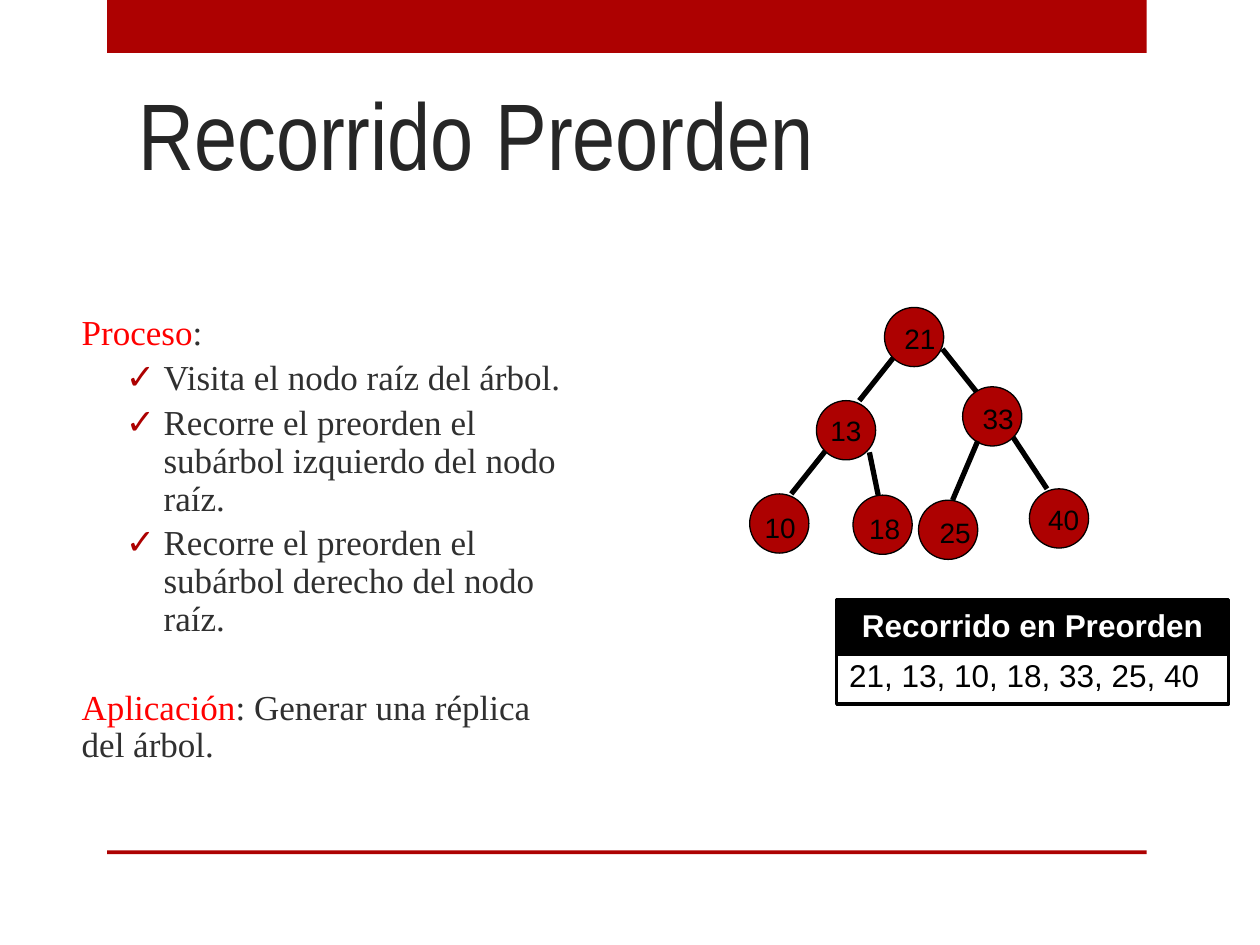
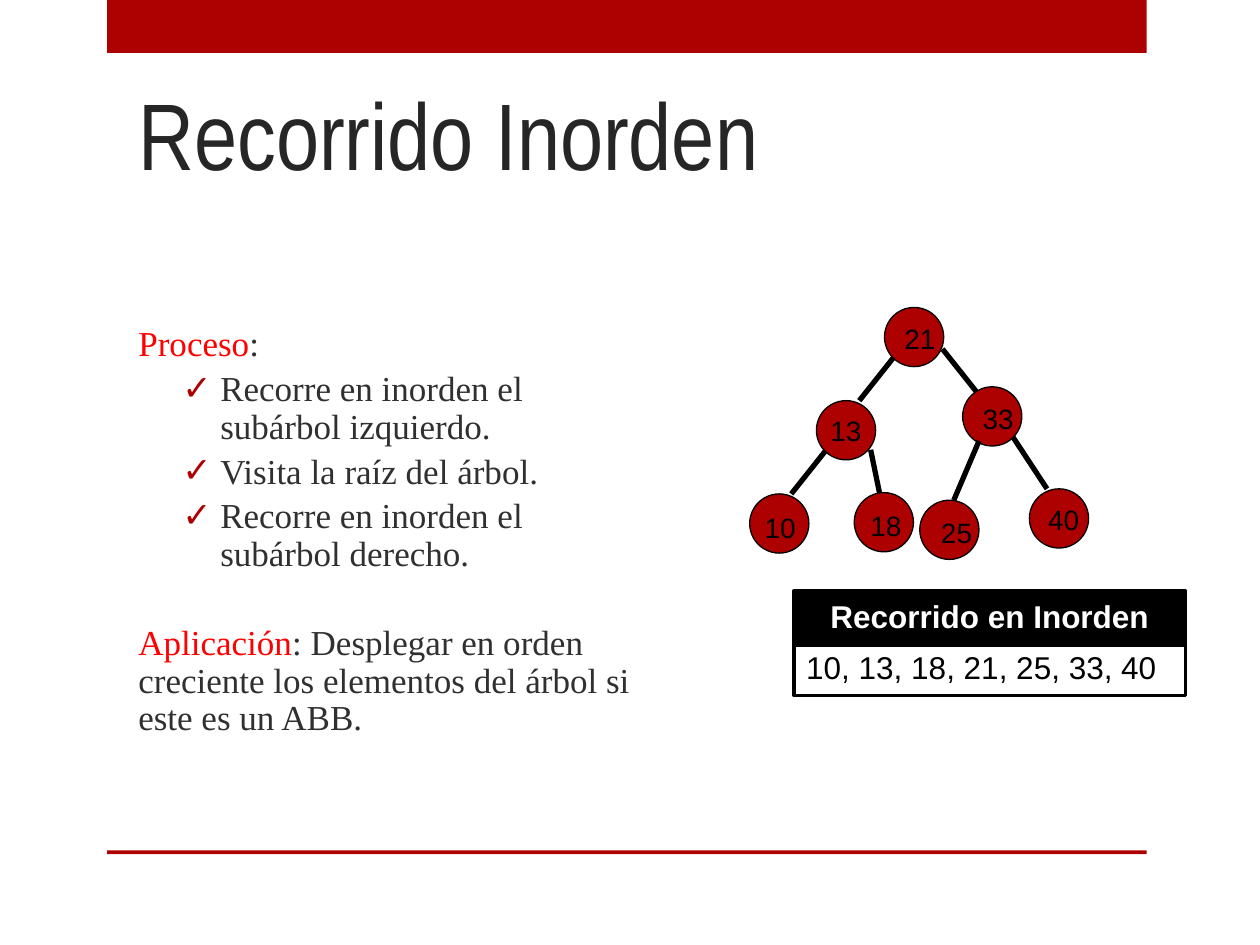
from typing import NamedTuple, Optional

from lxml import etree
from pptx import Presentation
from pptx.dml.color import RGBColor
from pptx.enum.shapes import MSO_CONNECTOR, MSO_SHAPE
from pptx.enum.text import MSO_ANCHOR, PP_ALIGN
from pptx.oxml.ns import qn
from pptx.util import Inches, Pt

RECT, ELLIPSE, STRAIGHT = MSO_SHAPE.RECTANGLE, MSO_SHAPE.OVAL, MSO_CONNECTOR.STRAIGHT
TOP, MIDDLE, BOTTOM = MSO_ANCHOR.TOP, MSO_ANCHOR.MIDDLE, MSO_ANCHOR.BOTTOM
LEFT, CENTER = PP_ALIGN.LEFT, PP_ALIGN.CENTER

CRIMSON = RGBColor(0xAD, 0x01, 0x01)
RED = RGBColor(0xFF, 0x00, 0x00)
BLACK = RGBColor(0x00, 0x00, 0x00)
WHITE = RGBColor(0xFF, 0xFF, 0xFF)
TITLE_GRAY = RGBColor(0x26, 0x26, 0x26)
BODY_GRAY = RGBColor(0x30, 0x30, 0x30)

SANS, NARROW, SERIF = "Arial", "Arial Narrow", "Times New Roman"
NODE_SIZE = 0.47
RESULT_WIDTH, RESULT_HEIGHT, RESULT_STEP = 3.11, 0.43, 0.4


class Node(NamedTuple):
    """A tree node; edge_end is measured from its own top left corner.

    A node without label_box carries its value centred inside the circle.
    """
    value: str
    left: float
    top: float
    label_box: Optional[tuple] = None
    edge_start: Optional[tuple] = None
    edge_end: Optional[tuple] = None


TREE = [
    Node("21", 7.02, 2.44, (7.08, 2.5, 0.47)),
    Node("13", 6.48, 3.18, None, (7.09, 2.84), (0.34, 0)),
    Node("33", 7.64, 3.07, (7.7, 3.14, 0.6), (7.48, 2.77), (0.11, 0.04)),
    Node("10", 5.95, 3.92, (5.97, 4, 0.54), (6.55, 3.58), (0.33, 0)),
    Node("18", 6.77, 3.93, (6.8, 4.01, 0.54), (6.9, 3.59), (0.2, 0)),
    Node("25", 7.29, 3.97, (7.36, 4.04, 0.54), (7.76, 3.5), (0.27, 0)),
    Node("40", 8.17, 3.88, (8.22, 3.94, 0.47), (8.04, 3.47), (0.14, 0)),
]

TRAVERSALS = [
    {
        "name": "Preorden",
        "body_box": (0.55, 2.04, 4.11, 4.5),
        "steps": ["Visita el nodo raíz del árbol.",
                  "Recorre el preorden el subárbol izquierdo del nodo raíz.",
                  "Recorre el preorden el subárbol derecho del nodo raíz."],
        "use": "Generar una réplica del árbol.",
        "sequence": "21, 13, 10, 18, 33, 25, 40",
        "result_at": (6.64, 4.76),
        "shifts": {},
    },
    {
        "name": "Inorden",
        "body_box": (1, 1.75, 4.16, 4.95),
        "steps": ["Recorre en inorden el subárbol izquierdo.",
                  "Visita la raíz del árbol.",
                  "Recorre en inorden el subárbol derecho."],
        "use": "Desplegar en orden creciente los elementos del árbol si este es un ABB.",
        "sequence": "10, 13, 18, 21, 25, 33, 40",
        "result_at": (6.3, 4.69),
        "shifts": {"18": (0.01, -0.02), "25": (0.01, 0)},
    },
]


class TraversalDeck:
    def __init__(self):
        self.prs = Presentation()
        self.prs.slide_width, self.prs.slide_height = Inches(10), Inches(7.5)
        self.slide = None

    def new_slide(self, title):
        self.slide = self.prs.slides.add_slide(self.prs.slide_layouts[6])
        for top, height in ((0, 0.42), (6.75, 0.03)):
            self.shape(RECT, (0.85, top, 8.25, height), fill=CRIMSON)
        frame = self.text_box((1, 0.3, 8.5, 1.25), BOTTOM)
        self.run(frame.paragraphs[0], title, 54, NARROW, TITLE_GRAY)

    def shape(self, kind, box, fill=None, line_width=None):
        shape = self.slide.shapes.add_shape(kind, *map(Inches, box))
        shape.shadow.inherit = False
        if fill is None:
            shape.fill.background()
        else:
            shape.fill.solid()
            shape.fill.fore_color.rgb = fill
        if line_width is None:
            shape.line.fill.background()
        else:
            shape.line.color.rgb = BLACK
            shape.line.width = Pt(line_width)
        return shape

    def text_box(self, box, anchor=TOP):
        frame = self.slide.shapes.add_textbox(*map(Inches, box)).text_frame
        frame.word_wrap = True
        frame.vertical_anchor = anchor
        return frame

    def run(self, paragraph, text, size, font, color, bold=False):
        run = paragraph.add_run()
        run.text = text
        run.font.size = Pt(size)
        run.font.name = font
        run.font.color.rgb = color
        run.font.bold = bold

    def edge(self, start, end):
        line = self.slide.shapes.add_connector(STRAIGHT, *map(Inches, (*start, *end)))
        line.line.color.rgb = BLACK
        line.line.width = Pt(3)
        etree.SubElement(line._element.spPr, qn("a:effectLst"))

    def check_bullet(self, paragraph):
        props = paragraph._p.get_or_add_pPr()
        props.set("marL", str(Inches(0.65)))
        props.set("indent", str(Inches(-0.3)))
        color = etree.SubElement(props, qn("a:buClr"))
        etree.SubElement(color, qn("a:srgbClr"), val=str(CRIMSON))
        etree.SubElement(props, qn("a:buFont"), typeface=SANS)
        etree.SubElement(props, qn("a:buChar"), char="✓")

    def explanation(self, box, steps, use):
        frame = self.text_box(box, MIDDLE)
        entries = [("Proceso", ":", 4)]
        entries += [("", step, 4) for step in steps]
        entries.append(("Aplicación", f": {use}", 29))
        for index, (heading, text, space) in enumerate(entries):
            paragraph = frame.add_paragraph() if index else frame.paragraphs[0]
            paragraph.line_spacing = 0.9
            paragraph.space_before = Pt(space)
            if heading:
                self.run(paragraph, heading, 20, SERIF, RED)
            else:
                self.check_bullet(paragraph)
            self.run(paragraph, text, 20, SERIF, BODY_GRAY)

    def tree(self, shifts):
        """Draw circles, edges and values; shifts moves single nodes by value."""
        placed = [(node, *shifts.get(node.value, (0, 0))) for node in TREE]
        for node, dx, dy in placed:
            circle = self.shape(ELLIPSE, (node.left + dx, node.top + dy, NODE_SIZE, NODE_SIZE),
                                CRIMSON, 0.75)
            if node.label_box is None:
                frame = circle.text_frame
                frame.word_wrap = False
                frame.vertical_anchor = MIDDLE
                frame.paragraphs[0].alignment = CENTER
                self.run(frame.paragraphs[0], node.value, 16, SANS, BLACK)
        for node, dx, dy in placed:
            if node.edge_start:
                (x, y), (end_x, end_y) = node.edge_start, node.edge_end
                self.edge((x + dx, y + dy),
                          (node.left + end_x + dx, node.top + end_y + dy))
        for node, dx, dy in placed:
            if node.label_box:
                left, top, width = node.label_box
                frame = self.text_box((left + dx, top + dy, width, 0.37))
                self.run(frame.paragraphs[0], node.value, 16, SANS, BLACK)

    def result_row(self, left, top, text, fill, color, align, bold):
        row = self.shape(RECT, (left, top, RESULT_WIDTH, RESULT_HEIGHT), fill, 2)
        row.text_frame.vertical_anchor = TOP
        paragraph = row.text_frame.paragraphs[0]
        paragraph.alignment = align
        self.run(paragraph, text, 18, SANS, color, bold)

    def result(self, left, top, heading, sequence):
        self.result_row(left, top + RESULT_STEP, sequence, None, BLACK, LEFT, False)
        self.result_row(left, top, heading, BLACK, WHITE, CENTER, True)


def main():
    deck = TraversalDeck()
    for traversal in TRAVERSALS:
        name = traversal["name"]
        deck.new_slide(f"Recorrido {name}")
        deck.explanation(traversal["body_box"], traversal["steps"], traversal["use"])
        deck.tree(traversal["shifts"])
        deck.result(*traversal["result_at"], f"Recorrido en {name}", traversal["sequence"])
    deck.prs.save("out.pptx")


if __name__ == "__main__":
    main()
